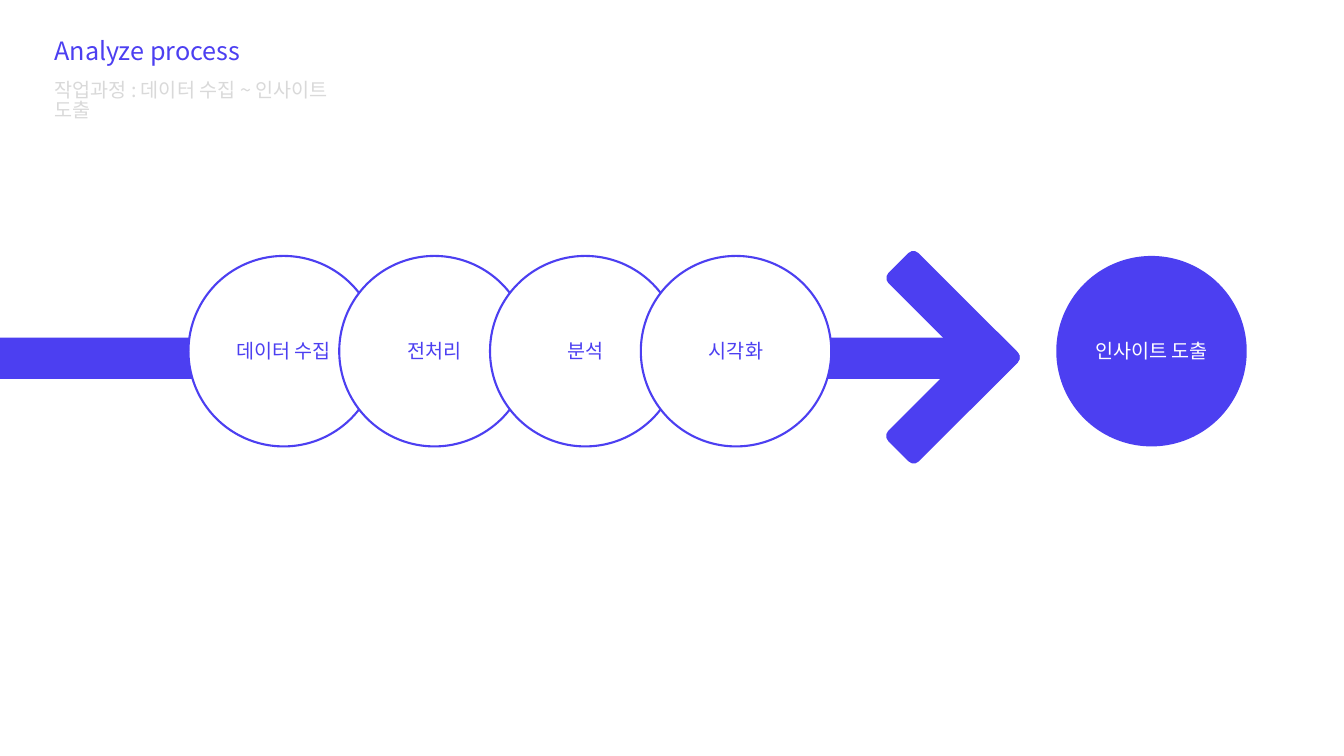
"""Build the analysis process slide: four overlapping steps leading to an insight."""
from dataclasses import dataclass

from lxml import etree
from pptx import Presentation
from pptx.dml.color import RGBColor
from pptx.enum.shapes import MSO_SHAPE
from pptx.enum.text import MSO_ANCHOR, MSO_AUTO_SIZE, PP_ALIGN
from pptx.oxml.ns import qn
from pptx.util import Cm, Pt

ROUND_RECT = MSO_SHAPE.ROUNDED_RECTANGLE
OVAL = MSO_SHAPE.OVAL
TOP, MIDDLE = MSO_ANCHOR.TOP, MSO_ANCHOR.MIDDLE
LEFT, CENTER = PP_ALIGN.LEFT, PP_ALIGN.CENTER
NO_AUTOSIZE = MSO_AUTO_SIZE.NONE

VIOLET = RGBColor(0x4C, 0x3F, 0xF1)
WHITE = RGBColor(0xFF, 0xFF, 0xFF)
GRAY = RGBColor(0xD9, 0xD9, 0xD9)
FONT = "Noto Sans CJK KR"

DIAMETER = 4.8
CIRCLE_TOP = 6.45
STEP_LEFT = 4.75
STEP_PITCH = 3.8
INSIGHT_LEFT = 26.62
STEPS = ("데이터 수집", "전처리", "분석", "시각화")


@dataclass(frozen=True)
class Bar:
    left: float
    top: float
    width: float
    height: float
    rotation: float = 0


@dataclass(frozen=True)
class Circle:
    text: str
    left: float
    fill: RGBColor
    color: RGBColor
    outlined: bool = True


@dataclass(frozen=True)
class Heading:
    text: str
    top: float
    width: float
    height: float
    size: float
    color: RGBColor
    wrap: bool


ARROW = (
    Bar(-0.36, 8.51, 25.1, 1.04),
    Bar(22.07, 7.47, 3.89, 1.07, 45),
    Bar(22.07, 9.45, 3.89, 1.09, 135),
)
CIRCLES = (
    *(Circle(text, STEP_LEFT + i * STEP_PITCH, WHITE, VIOLET) for i, text in enumerate(STEPS)),
    Circle("인사이트 도출", INSIGHT_LEFT, VIOLET, WHITE, outlined=False),
)
TITLE = Heading("Analyze process", 0.89, 5.33, 1.02, 18, VIOLET, False)
SUBTITLE = Heading("작업과정 : 데이터 수집 ~ 인사이트 도출", 1.93, 8.13, 0.86, 14, GRAY, True)


def add_run(p, text: str, size: float, color: RGBColor) -> None:
    """Add one run in the slide font for Latin and Korean text."""
    r = p.add_run()
    r.text = text
    r.font.size = Pt(size)
    r.font.color.rgb = color
    r.font.name = FONT
    etree.SubElement(r.font._element, qn("a:ea"), typeface=FONT)


def add_bar(shapes, bar: Bar) -> None:
    """Draw one rounded bar of the arrow."""
    sp = shapes.add_shape(ROUND_RECT, Cm(bar.left), Cm(bar.top), Cm(bar.width), Cm(bar.height))
    sp.rotation = bar.rotation
    sp.shadow.inherit = False
    sp.fill.solid()
    sp.fill.fore_color.rgb = VIOLET
    sp.line.fill.background()


def add_circle(shapes, circle: Circle) -> None:
    """Draw one labelled circle."""
    sp = shapes.add_shape(OVAL, Cm(circle.left), Cm(CIRCLE_TOP), Cm(DIAMETER), Cm(DIAMETER))
    sp.shadow.inherit = False
    sp.fill.solid()
    sp.fill.fore_color.rgb = circle.fill
    if circle.outlined:
        sp.line.color.rgb = VIOLET
        sp.line.width = Pt(1.5)
    else:
        sp.line.fill.background()
    tf = sp.text_frame
    tf.word_wrap = False
    tf.vertical_anchor = MIDDLE
    p = tf.paragraphs[0]
    p.alignment = CENTER
    add_run(p, circle.text, 14, circle.color)


def set_heading(sp, heading: Heading) -> None:
    """Place and fill a heading shape."""
    sp.left, sp.top = Cm(1.12), Cm(heading.top)
    sp.width, sp.height = Cm(heading.width), Cm(heading.height)
    tf = sp.text_frame
    tf.auto_size = NO_AUTOSIZE
    tf.word_wrap = heading.wrap
    tf.vertical_anchor = TOP
    p = tf.paragraphs[0]
    p.alignment = LEFT
    p.line_spacing = 0.85
    add_run(p, heading.text, heading.size, heading.color)


def main() -> None:
    """Create the presentation and save it."""
    prs = Presentation()
    prs.slide_width, prs.slide_height = Cm(33.87), Cm(19.05)
    s = prs.slides.add_slide(prs.slide_layouts[5])
    arrow = s.shapes.add_group_shape()
    for bar in ARROW:
        add_bar(arrow.shapes, bar)
    for circle in CIRCLES:
        add_circle(s.shapes, circle)
    set_heading(s.shapes.title, TITLE)
    set_heading(s.shapes.add_textbox(0, 0, 0, 0), SUBTITLE)
    prs.save("out.pptx")


if __name__ == "__main__":
    main()
